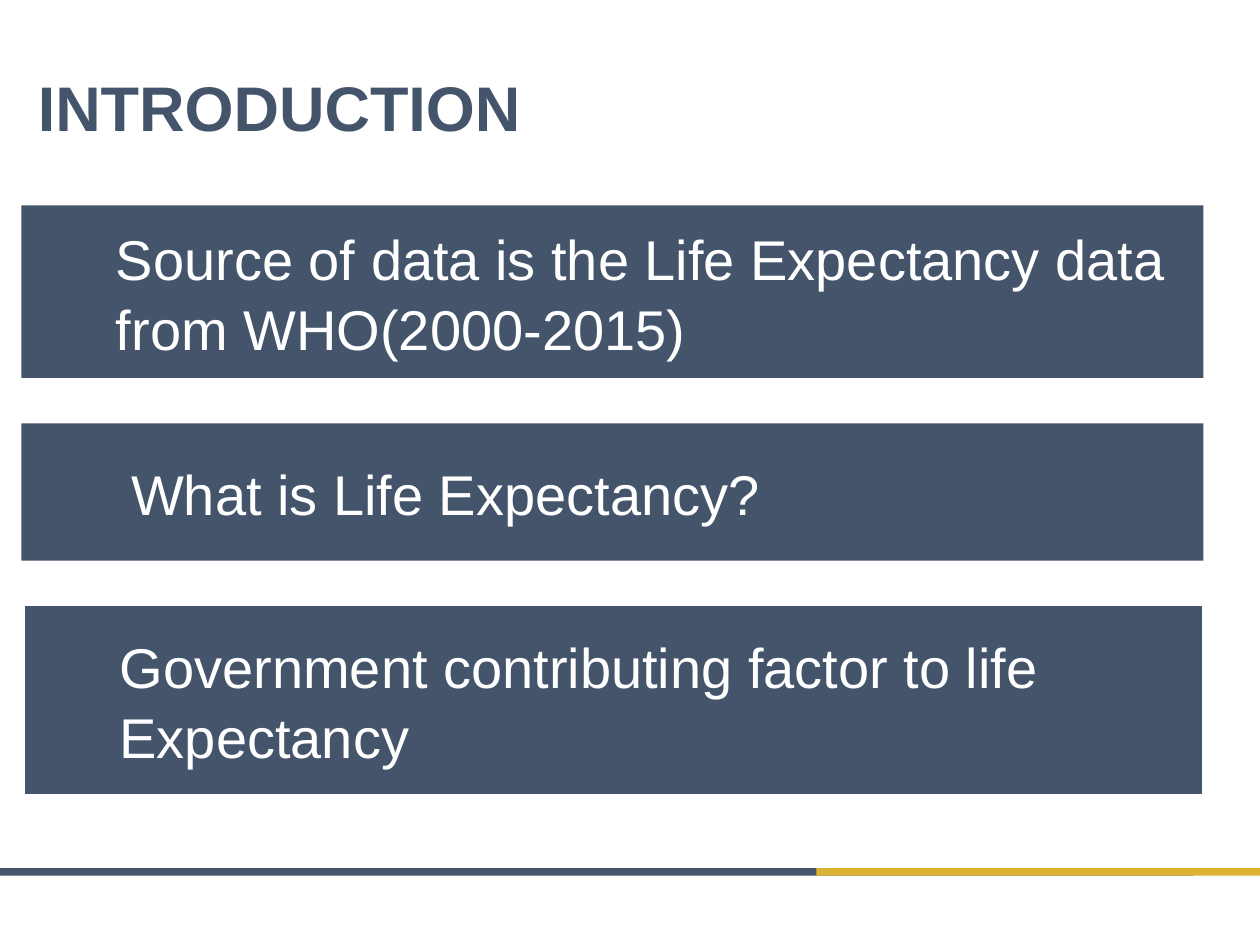
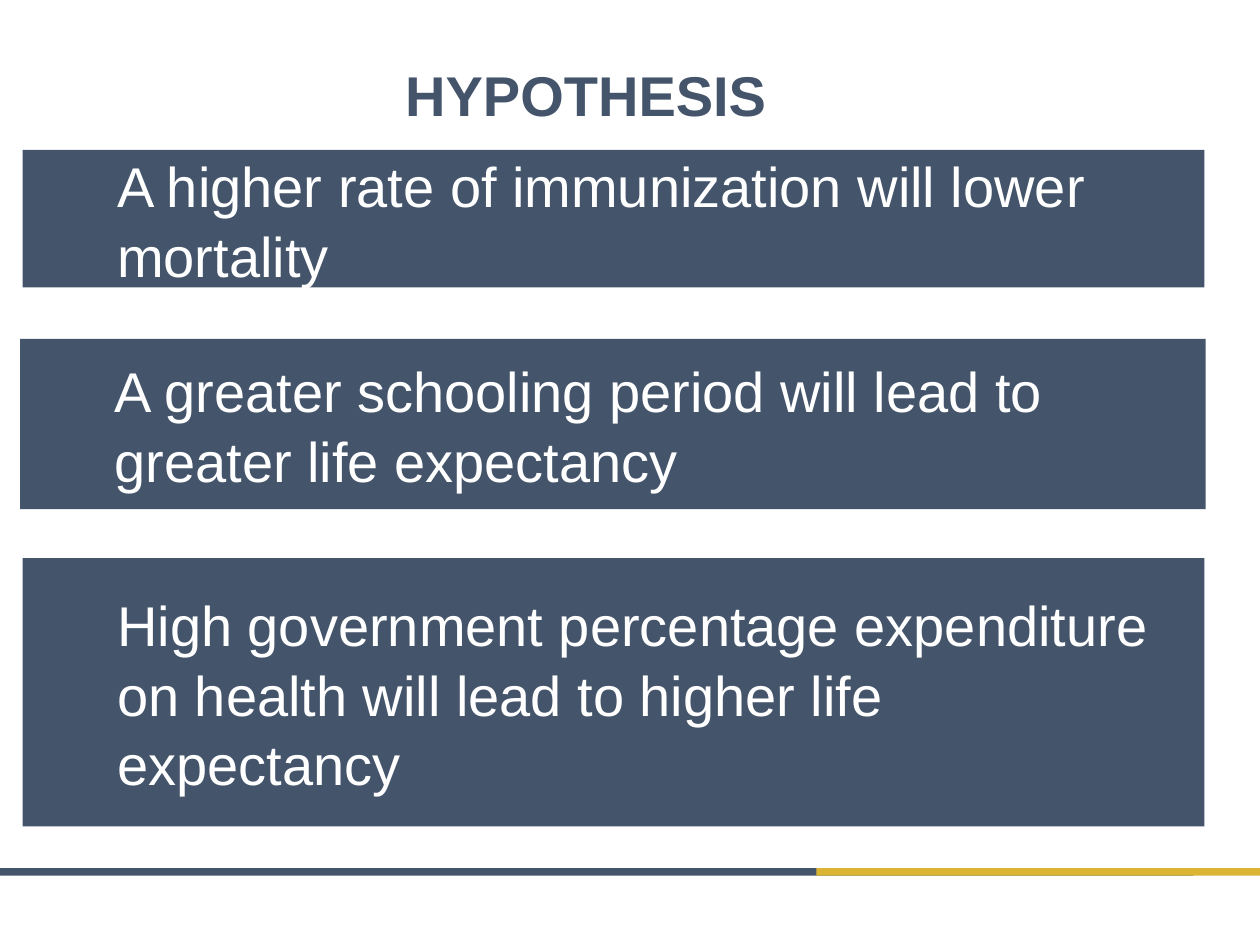
from pptx import Presentation
from pptx.dml.color import RGBColor
from pptx.enum.shapes import MSO_SHAPE as Shape
from pptx.enum.text import MSO_ANCHOR as Anchor, MSO_AUTO_SIZE as AutoSize, PP_ALIGN as Align
from pptx.util import Inches, Pt

COLOURS = {"slate": "44546A", "gold": "DCB434", "white": "FFFFFF"}
TITLE_ONLY = 5


class DeckBuilder:
    font = "Arial"
    statement_size = 32
    line_spacing = 1.04

    def __init__(self):
        self.deck = Presentation()
        self.deck.slide_width = Inches(10)
        self.deck.slide_height = Inches(7.5)
        self.page = None

    def colour(self, name):
        return RGBColor.from_string(COLOURS[name])

    def start_page(self):
        self.page = self.deck.slides.add_slide(self.deck.slide_layouts[TITLE_ONLY])
        self.band(0, 6.89, 9.47, 0.06, "slate")
        self.band(6.48, 6.89, 3.52, 0.06, "gold")

    def band(self, left, top, width, height, fill):
        box = self.page.shapes.add_shape(
            Shape.RECTANGLE, Inches(left), Inches(top), Inches(width), Inches(height))
        box.shadow.inherit = False
        box.fill.solid()
        box.fill.fore_color.rgb = self.colour(fill)
        box.line.fill.background()
        return box

    def set_text(self, box, text, size, colour, bold=False, align=Align.LEFT, left=0.1, right=0.1):
        frame = box.text_frame
        frame_format = {
            "word_wrap": True, "auto_size": AutoSize.NONE, "vertical_anchor": Anchor.MIDDLE,
            "margin_left": Inches(left), "margin_right": Inches(right),
            "margin_top": Inches(0.05), "margin_bottom": Inches(0.05),
        }
        for name, value in frame_format.items():
            setattr(frame, name, value)
        para = frame.paragraphs[0]
        para.alignment = align
        para.line_spacing = self.line_spacing
        span = para.add_run()
        span.text = text
        for name, value in {"name": self.font, "size": Pt(size), "bold": bold}.items():
            setattr(span.font, name, value)
        span.font.color.rgb = self.colour(colour)

    def title(self, text, top, size, align):
        box = self.page.shapes.title
        place = {"left": 0.2, "top": top, "width": 8.9, "height": 0.54}
        for name, value in place.items():
            setattr(box, name, Inches(value))
        self.set_text(box, text, size, "slate", bold=True, align=align)

    def statement(self, text, left, top, width, height, indent=0.75):
        box = self.band(left, top, width, height, "slate")
        self.set_text(box, text, self.statement_size, "white", left=indent, right=0.28)


def main():
    builder = DeckBuilder()

    builder.start_page()
    builder.title("INTRODUCTION", 0.56, 36, Align.LEFT)
    builder.statement("Source of data is the Life Expectancy data from WHO(2000-2015)",
                      0.17, 1.63, 9.38, 1.37)
    builder.statement("What is Life Expectancy?", 0.17, 3.36, 9.38, 1.09, indent=0.87)
    builder.statement("Government contributing factor to life Expectancy",
                      0.2, 4.81, 9.34, 1.49)

    builder.start_page()
    builder.title("HYPOTHESIS", 0.47, 32, Align.CENTER)
    builder.statement("A higher rate of immunization will lower mortality",
                      0.18, 1.19, 9.38, 1.09)
    builder.statement("A greater schooling period will lead to greater life expectancy",
                      0.16, 2.69, 9.41, 1.35)
    builder.statement("High government percentage expenditure on health will lead to "
                      "higher life expectancy", 0.18, 4.43, 9.38, 2.13)

    builder.deck.save("out.pptx")


if __name__ == "__main__":
    main()
